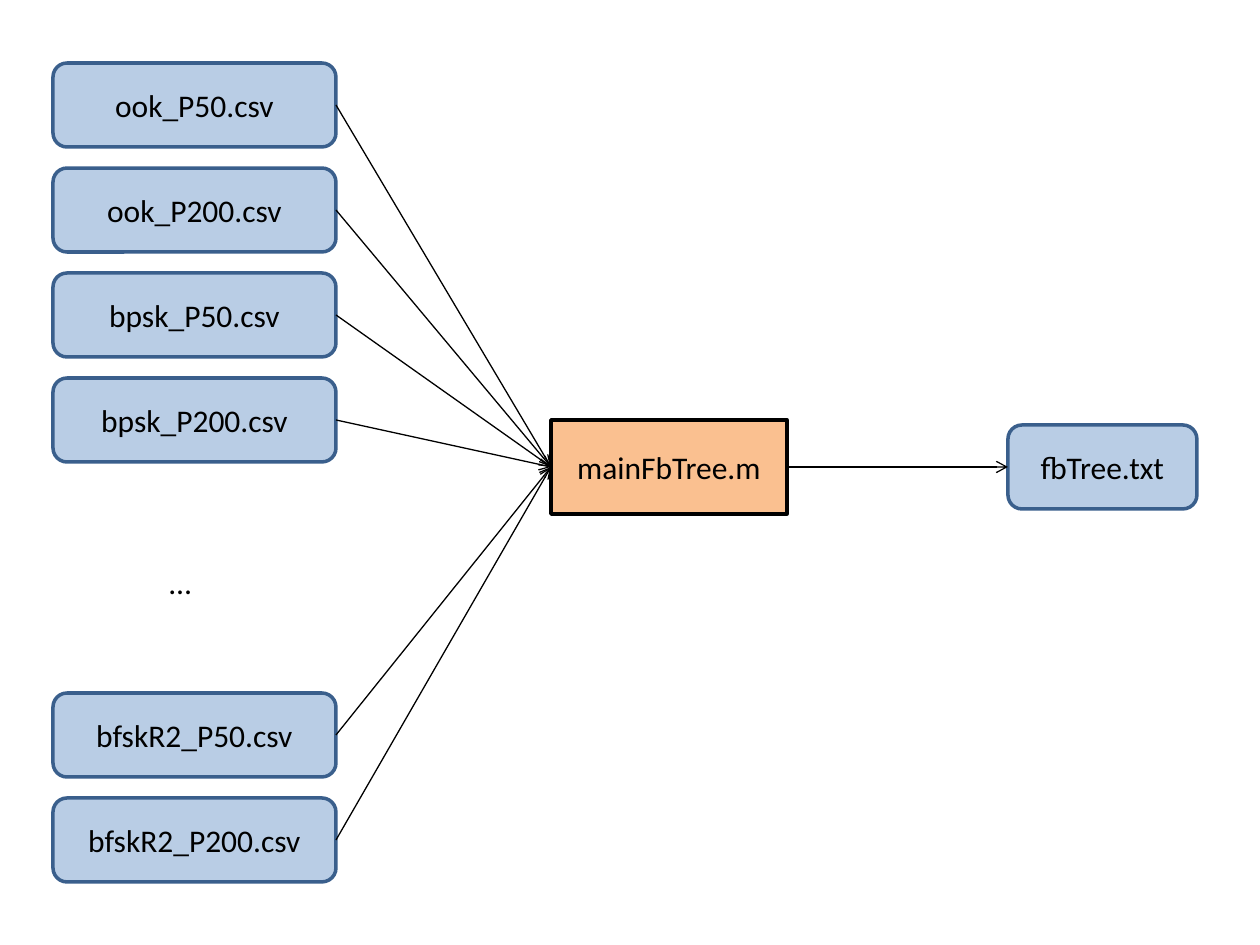
from lxml import etree
from pptx import Presentation, util as u
from pptx.dml.color import RGBColor
from pptx.enum import shapes, text
from pptx.oxml import ns

# Content: each input file with its row in the left column
INPUTS = [
    ("ook_P50.csv", 0),
    ("ook_P200.csv", 1),
    ("bpsk_P50.csv", 2),
    ("bpsk_P200.csv", 3),
    ("bfskR2_P50.csv", 6),
    ("bfskR2_P200.csv", 7),
]
MORE = "…"
PROGRAM = "mainFbTree.m"
OUTPUT = "fbTree.txt"

# Style and layout, in px
COLORS = {"file": "B9CDE5", "file_line": "3A5F8C",
          "program": "FAC090", "ink": "000000"}
FONT, FONT_SIZE = "Calibri", 18
SCALE = 914400 // 126
LEFT, TOP, PITCH = 53, 63, 105
INPUT_W, FILE_H = 283, 84
PROGRAM_BOX = (551, 420, 236, 94)
OUTPUT_BOX = (1008, 425, 189, FILE_H)
MORE_BOX = (157, 557, 48, 50)
LEFT_SITE, RIGHT_SITE = 1, 3


def px(*values):
    return [u.Emu(v * SCALE) for v in values]


def color(key):
    return RGBColor.from_string(COLORS[key])


def write(frame, words, align):
    paragraph = frame.paragraphs[0]
    paragraph.alignment = align
    run = paragraph.add_run()
    run.text = words
    run.font.name, run.font.size = FONT, u.Pt(FONT_SIZE)
    run.font.color.rgb = color("ink")


def add_box(slide, kind, words, box, fill, line):
    shape = slide.shapes.add_shape(kind, *px(*box))
    shape.shadow.inherit = False
    shape.fill.solid()
    shape.fill.fore_color.rgb = color(fill)
    shape.line.color.rgb = color(line)
    shape.line.width = u.Pt(2)
    shape.text_frame.vertical_anchor = text.MSO_ANCHOR.MIDDLE
    write(shape.text_frame, words, text.PP_ALIGN.CENTER)
    return shape


def add_file(slide, words, box):
    kind = shapes.MSO_SHAPE.FLOWCHART_ALTERNATE_PROCESS
    return add_box(slide, kind, words, box, "file", "file_line")


def add_arrow(slide, source, target):
    arrow = slide.shapes.add_connector(shapes.MSO_CONNECTOR.STRAIGHT, 0, 0, 0, 0)
    arrow.begin_connect(source, RIGHT_SITE)
    arrow.end_connect(target, LEFT_SITE)
    arrow.line.color.rgb = color("ink")
    arrow.line.width = u.Pt(0.75)
    etree.SubElement(arrow.line._get_or_add_ln(), ns.qn("a:tailEnd"), type="arrow")
    etree.SubElement(arrow._element.spPr, ns.qn("a:effectLst"))


def main():
    prs = Presentation()
    prs.slide_width, prs.slide_height = u.Inches(10), u.Inches(7.5)
    slide = prs.slides.add_slide(prs.slide_layouts[6])

    # Input files
    inputs = [add_file(slide, name, (LEFT, TOP + row * PITCH, INPUT_W, FILE_H))
              for name, row in INPUTS]

    # Ellipsis for the files not listed
    more = slide.shapes.add_textbox(*px(*MORE_BOX)).text_frame
    more.word_wrap = False
    more.auto_size = text.MSO_AUTO_SIZE.SHAPE_TO_FIT_TEXT
    write(more, MORE, text.PP_ALIGN.LEFT)

    # Program and its result
    program = add_box(slide, shapes.MSO_SHAPE.RECTANGLE, PROGRAM, PROGRAM_BOX,
                      "program", "ink")
    output = add_file(slide, OUTPUT, OUTPUT_BOX)

    # Data flow
    for source in inputs:
        add_arrow(slide, source, program)
    add_arrow(slide, program, output)

    prs.save("out.pptx")


if __name__ == "__main__":
    main()
